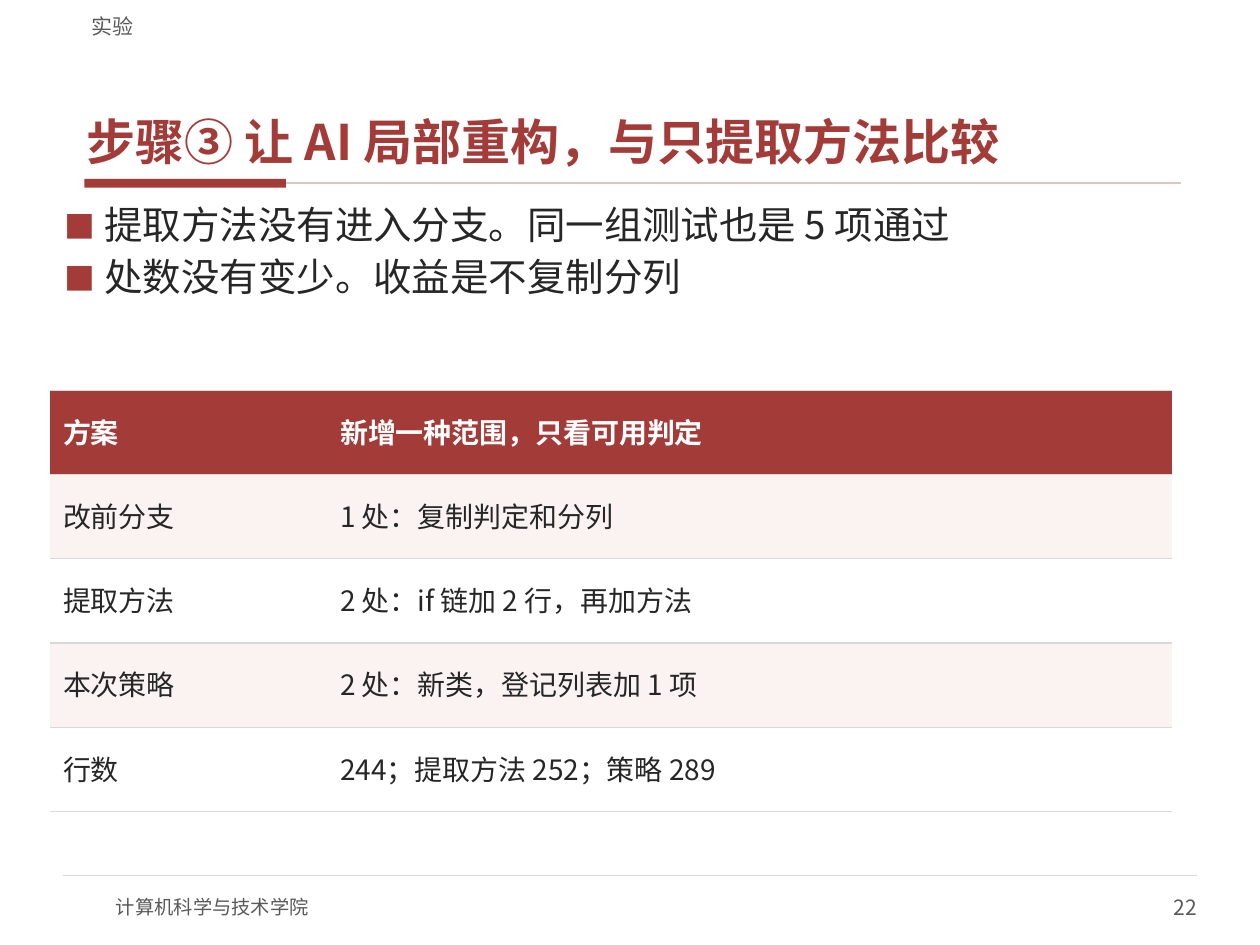
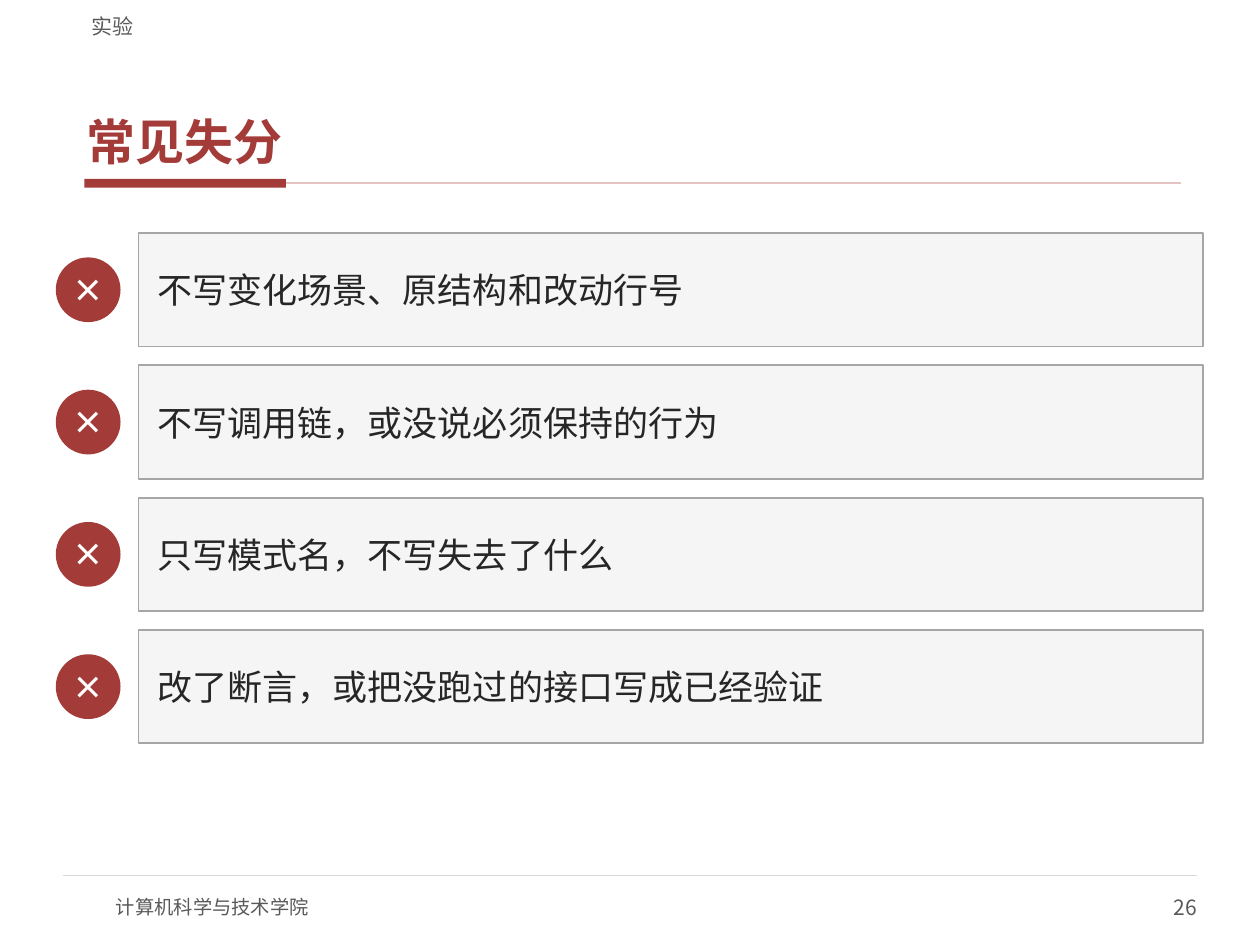
from dataclasses import dataclass

from lxml.etree import SubElement
from pptx import Presentation
from pptx.dml.color import RGBColor
from pptx.enum.shapes import MSO_CONNECTOR as Link, MSO_SHAPE as Preset
from pptx.enum.text import MSO_ANCHOR as Anchor, PP_ALIGN as Align
from pptx.oxml.ns import qn
from pptx.util import Pt

FONT = "Noto Sans CJK SC"
RED, ROSE, BLUSH = "A33B38", "E3C4C2", "FBF3F2"
INK, GREY, RULE, EDGE = "262626", "595959", "D9D9D9", "A6A6A6"
PANEL, WHITE = "F5F5F5", "FFFFFF"


@dataclass(frozen=True)
class Area:
    left: float
    top: float
    width: float
    height: float

    def lengths(self) -> tuple:
        return Pt(self.left), Pt(self.top), Pt(self.width), Pt(self.height)


@dataclass(frozen=True)
class Style:
    size: float
    color: str = INK
    bold: bool = False
    align: Align = Align.LEFT
    before: float = 0
    after: float = 0
    line: float = 1.0
    bullet: bool = False


@dataclass(frozen=True)
class Label:
    area: Area
    style: Style
    anchor: Anchor = Anchor.MIDDLE
    inset_x: float = 0
    inset_y: float = 0


SECTION = Label(Area(45.36, 2.88, 630, 19.44), Style(12, GREY), Anchor.BOTTOM, 7.2)
TITLE = Label(Area(45.36, 23.76, 630, 75.6), Style(28, RED, True, after=2, line=0.9),
              Anchor.BOTTOM, 4.32, 1.44)
SCHOOL = Label(Area(66.24, 504, 288, 28.8), Style(11, GREY))
NUMBER = Label(Area(540, 504, 144, 28.8), Style(12, GREY, align=Align.RIGHT))
POINTS = Label(Area(32.4, 116.64, 655.2, 100.8),
               Style(22, before=4, after=2, line=0.9, bullet=True), Anchor.TOP, 4.32, 1.44)
TITLE_BAR = Area(48.24, 102.24, 115.2, 5.04)
CELL = Style(16, after=2, line=0.9)
CELL_HEAD = Style(16, WHITE, True, after=2, line=0.9)
MARK = Style(18, WHITE, True, Align.CENTER)
FAULT = Style(20)


def rgb(color: str) -> RGBColor:
    return RGBColor.from_string(color)


def add_bullet(para) -> None:
    props = para._p.get_or_add_pPr()
    props.set("marL", str(Pt(23.04)))
    props.set("indent", str(-Pt(23.04)))
    SubElement(SubElement(props, qn("a:buClr")), qn("a:srgbClr"), val=RED)
    SubElement(props, qn("a:buSzPct"), val="80000")
    SubElement(props, qn("a:buFont"), typeface=FONT)
    SubElement(props, qn("a:buChar"), char="■")


def write(frame, lines: list[str], style: Style) -> None:
    for index, line in enumerate(lines):
        para = frame.add_paragraph() if index else frame.paragraphs[0]
        if style.bullet:
            add_bullet(para)
        para.alignment = style.align
        para.line_spacing = style.line
        para.space_before = Pt(style.before if index else 0)
        para.space_after = Pt(style.after)
        span = para.add_run()
        span.text = line
        span.font.size = Pt(style.size)
        span.font.bold = style.bold
        span.font.color.rgb = rgb(style.color)
        span.font.name = FONT
        SubElement(span._r.get_or_add_rPr(), qn("a:ea"), typeface=FONT)


def set_frame(frame, anchor: Anchor, inset_x: float, inset_y: float) -> None:
    frame.word_wrap = True
    frame.vertical_anchor = anchor
    frame.margin_left = frame.margin_right = Pt(inset_x)
    frame.margin_top = frame.margin_bottom = Pt(inset_y)


def add_label(page, label: Label, lines: list[str]) -> None:
    frame = page.shapes.add_textbox(*label.area.lengths()).text_frame
    set_frame(frame, label.anchor, label.inset_x, label.inset_y)
    write(frame, lines, label.style)


def add_box(page, preset: Preset, area: Area, fill: str, edge: str = ""):
    box = page.shapes.add_shape(preset, *area.lengths())
    box.shadow.inherit = False
    box.fill.solid()
    box.fill.fore_color.rgb = rgb(fill)
    if edge:
        box.line.color.rgb = rgb(edge)
        box.line.width = Pt(1)
    else:
        box.line.fill.background()
    return box


def add_rule(page, left: float, right: float, y: float, color: str, width: float):
    rule = page.shapes.add_connector(Link.STRAIGHT, Pt(left), Pt(y), Pt(right), Pt(y))
    rule.line.color.rgb = rgb(color)
    rule.line.width = Pt(width)
    SubElement(rule._element.spPr, qn("a:effectLst"))
    return rule


def add_page(deck, title: str, number: int):
    page = deck.slides.add_slide(deck.slide_layouts[6])
    bar = add_box(page, Preset.RECTANGLE, TITLE_BAR, RED)
    title_rule = add_rule(page, 163.44, 674.64, 104.76, ROSE, 1)
    title_rule.begin_connect(bar, 3)
    add_rule(page, 36, 684, 500.4, RULE, 0.75)
    add_label(page, SCHOOL, ["计算机科学与技术学院"])
    add_label(page, NUMBER, [str(number)])
    add_label(page, TITLE, [title])
    add_label(page, SECTION, ["实验"])
    return page


def set_borders(cell) -> None:
    props = cell._tc.get_or_add_tcPr()
    for side in ("lnL", "lnR"):
        SubElement(SubElement(props, qn(f"a:{side}"), w="0"), qn("a:noFill"))
    for side in ("lnT", "lnB"):
        border = SubElement(props, qn(f"a:{side}"), w=str(Pt(0.75)))
        SubElement(SubElement(border, qn("a:solidFill")), qn("a:srgbClr"), val=RULE)


def add_grid(page, area: Area, widths: list[float], rows: list[list[str]]) -> None:
    table = page.shapes.add_table(len(rows), len(widths), *area.lengths()).table
    table.first_row = table.horz_banding = False
    for column, width in zip(table.columns, widths):
        column.width = Pt(width)
    for index, texts in enumerate(rows):
        table.rows[index].height = Pt(area.height / len(rows))
        fill = RED if index == 0 else BLUSH if index % 2 else WHITE
        for column, text in enumerate(texts):
            cell = table.cell(index, column)
            set_borders(cell)
            cell.fill.solid()
            cell.fill.fore_color.rgb = rgb(fill)
            cell.vertical_anchor = Anchor.MIDDLE
            write(cell.text_frame, [text], CELL if index else CELL_HEAD)


def add_comparison(deck) -> None:
    page = add_page(deck, "步骤③ 让 AI 局部重构，与只提取方法比较", 22)
    add_label(page, POINTS, [
        "提取方法没有进入分支。同一组测试也是 5 项通过",
        "处数没有变少。收益是不复制分列",
    ])
    add_grid(page, Area(28.8, 223.2, 640.8, 240.5), [158.4, 482.4], [
        ["方案", "新增一种范围，只看可用判定"],
        ["改前分支", "1 处：复制判定和分列"],
        ["提取方法", "2 处：if 链加 2 行，再加方法"],
        ["本次策略", "2 处：新类，登记列表加 1 项"],
        ["行数", "244；提取方法 252；策略 289"],
    ])


def add_faults(deck) -> None:
    page = add_page(deck, "常见失分", 26)
    faults = [
        "不写变化场景、原结构和改动行号",
        "不写调用链，或没说必须保持的行为",
        "只写模式名，不写失去了什么",
        "改了断言，或把没跑过的接口写成已经验证",
    ]
    panel_height, mark_size, pitch = 64.8, 36, 75.6
    for index, fault in enumerate(faults):
        top = 133.2 + index * pitch
        mark_top = top + (panel_height - mark_size) / 2
        mark = add_box(page, Preset.OVAL, Area(32.4, mark_top, mark_size, mark_size), RED, RED)
        set_frame(mark.text_frame, Anchor.MIDDLE, 0, 0)
        write(mark.text_frame, ["×"], MARK)
        panel = add_box(page, Preset.RECTANGLE, Area(79.2, top, 608.4, panel_height), PANEL, EDGE)
        set_frame(panel.text_frame, Anchor.MIDDLE, 10.8, 5.04)
        write(panel.text_frame, [fault], FAULT)


def main() -> None:
    deck = Presentation()
    deck.slide_width, deck.slide_height = Pt(720), Pt(540)
    add_comparison(deck)
    add_faults(deck)
    deck.save("out.pptx")


if __name__ == "__main__":
    main()
